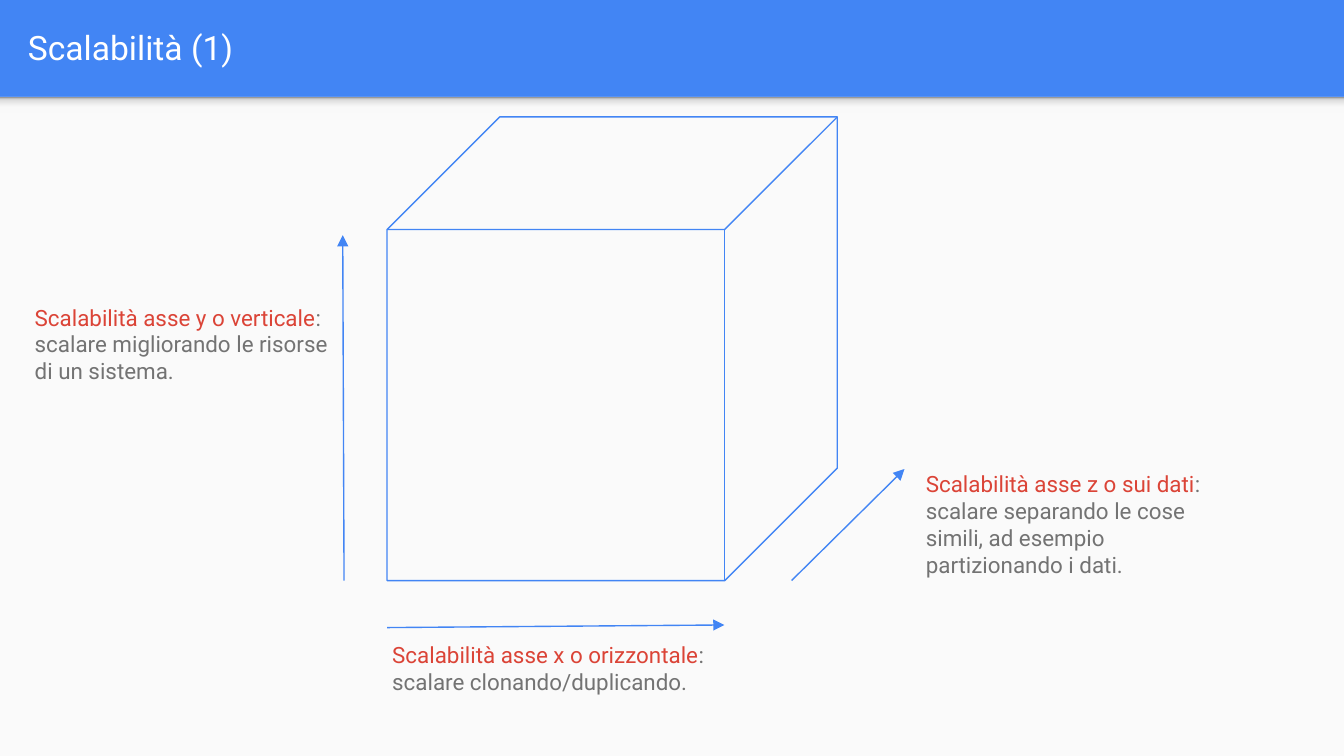
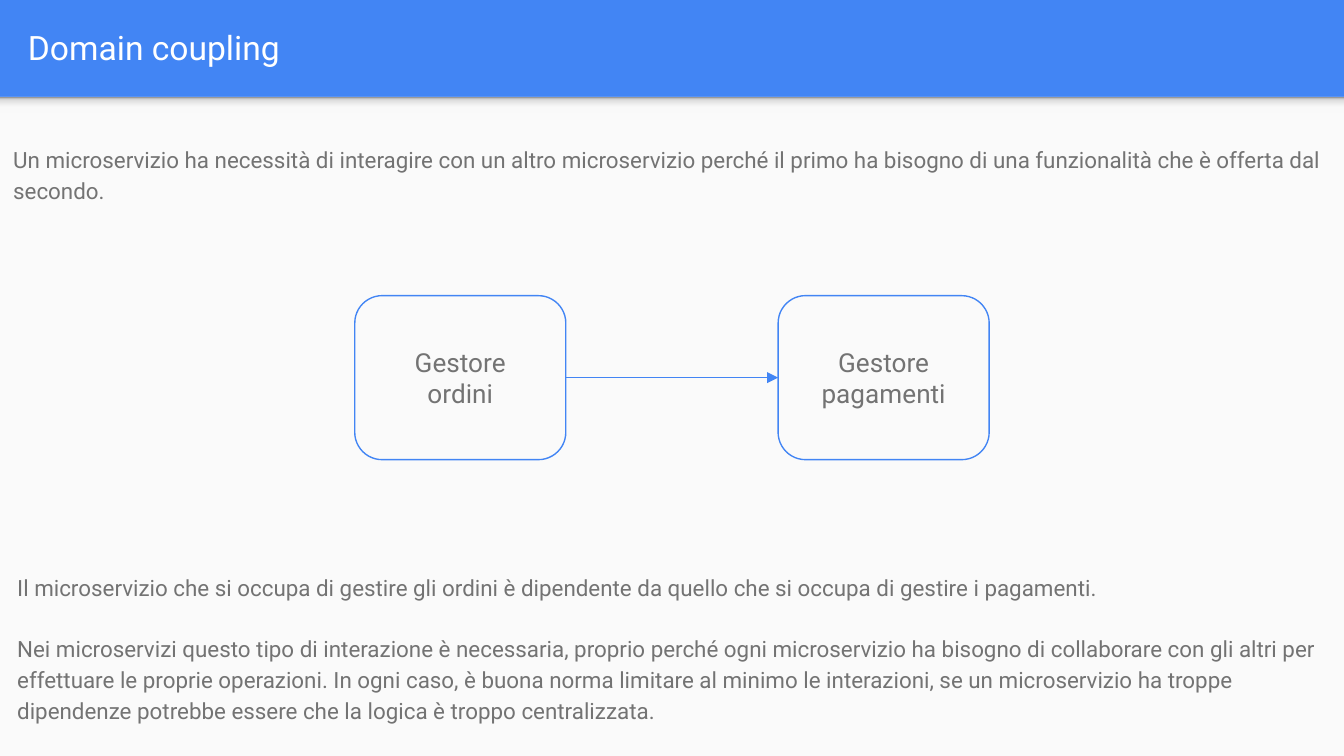
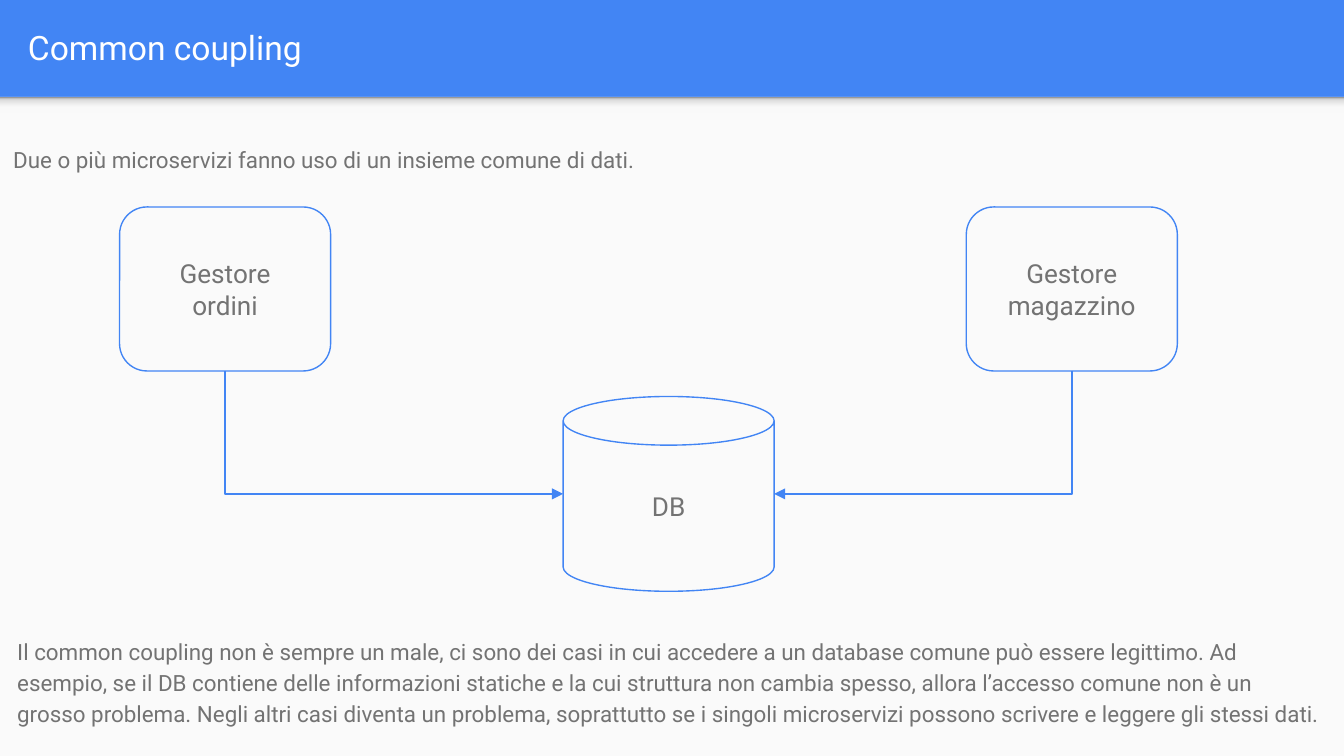
from dataclasses import dataclass
from typing import Any, NamedTuple

from lxml import etree
from pptx import Presentation
from pptx.dml.color import RGBColor
from pptx.enum.shapes import MSO_CONNECTOR as Conn, MSO_SHAPE as Shp
from pptx.enum.text import MSO_ANCHOR as Anchor, MSO_AUTO_SIZE as Fit, PP_ALIGN as Align
from pptx.oxml import parse_xml
from pptx.oxml.ns import nsdecls, qn
from pptx.util import Inches, Pt


@dataclass(frozen=True)
class Theme:
    font: str = "Roboto"
    blue: str = "4285F4"
    paper: str = "FAFAFA"
    red: str = "DB4437"
    gray: str = "737373"
    white: str = "FFFFFF"
    shade: tuple = ((0, "F9F9F9"), (36, "F9F9F9"), (80, "DEDEDE"), (100, "999999"))
    title_pt: float = 18
    node_pt: float = 14
    body_pt: float = 12
    line_pt: float = 0.75
    leading: float = 1.15
    paragraph_gap: float = 16.5


class Box(NamedTuple):
    left: float
    top: float
    width: float
    height: float

    def emu(self) -> list:
        return [Inches(v) for v in self]


class Point(NamedTuple):
    x: float
    y: float


class Run(NamedTuple):
    text: str
    color: str


class Axis(NamedTuple):
    label: str
    effect: str
    box: Box
    start: Point
    end: Point


class Node(NamedTuple):
    lines: list[str]
    box: Box
    kind: Any = Shp.ROUNDED_RECTANGLE


T = Theme()
SLIDE_W = Inches(10)
SLIDE_H = SLIDE_W * 9 // 16
BAND_H = 0.72
TITLE = Box(0.11, 0.02, 9.65, 0.66)
SHADOW = Box(0, BAND_H, 10, 0.12)
CUBE = Box(2.88, 0.87, 3.35, 3.45)
NODE_W, NODE_H = 1.57, 1.22
INTRO_TOP = 0.96
TEXT_W = 9.94

AXES = [
    Axis("Scalabilità asse x o orizzontale", "scalare clonando/duplicando.",
         Box(2.82, 4.67, 2.84, 0.61), Point(2.88, 4.67), Point(5.39, 4.65)),
    Axis("Scalabilità asse y o verticale", "scalare migliorando le risorse di un sistema.",
         Box(0.16, 2.16, 2.39, 0.81), Point(2.56, 4.32), Point(2.55, 1.75)),
    Axis("Scalabilità asse z o sui dati",
         "scalare separando le cose simili, ad esempio partizionando i dati.",
         Box(6.79, 3.4, 2.29, 1.01), Point(5.89, 4.32), Point(6.73, 3.49)),
]


def apply(target: Any, values: dict) -> None:
    for name, value in values.items():
        setattr(target, name, value)


def rgb(color: str) -> RGBColor:
    return RGBColor.from_string(color)


def write(sp: Any, paragraphs: list[list[Run]], size: float, frame: dict, para: dict,
          gap: float = 0) -> None:
    tf = sp.text_frame
    margins = {f"margin_{side}": Inches(0.1) for side in ("left", "top", "right", "bottom")}
    apply(tf, {"word_wrap": True, **margins, **frame})
    for i, runs in enumerate(paragraphs):
        p = tf.paragraphs[0] if i == 0 else tf.add_paragraph()
        apply(p, para)
        if i and gap:
            p.space_before = Pt(gap)
        for run in runs:
            r = p.add_run()
            r.text = run.text
            apply(r.font, {"name": T.font, "size": Pt(size)})
            r.font.color.rgb = rgb(run.color)


def add_text(slide: Any, box: Box, paragraphs: list[list[Run]]) -> None:
    write(slide.shapes.add_textbox(*box.emu()), paragraphs, T.body_pt,
          {"auto_size": Fit.SHAPE_TO_FIT_TEXT}, {})


def add_prose(slide: Any, box: Box, texts: list[str]) -> None:
    write(slide.shapes.add_textbox(*box.emu()), [[Run(t, T.gray)] for t in texts], T.body_pt,
          {"auto_size": Fit.SHAPE_TO_FIT_TEXT}, {"line_spacing": T.leading}, T.paragraph_gap)


def add_outline(slide: Any, kind: Any, box: Box) -> Any:
    sp = slide.shapes.add_shape(kind, *box.emu())
    sp.shadow.inherit = False
    sp.fill.background()
    sp.line.color.rgb = rgb(T.blue)
    sp.line.width = Pt(T.line_pt)
    return sp


def add_node(slide: Any, node: Node) -> Any:
    sp = add_outline(slide, node.kind, node.box)
    write(sp, [[Run(line, T.gray)] for line in node.lines], T.node_pt,
          {"vertical_anchor": Anchor.MIDDLE}, {"alignment": Align.CENTER})
    return sp


def add_arrow(slide: Any, start: Point, end: Point, kind: Any = Conn.STRAIGHT) -> Any:
    cx = slide.shapes.add_connector(kind, *[Inches(v) for v in (*start, *end)])
    cx.line.color.rgb = rgb(T.blue)
    cx.line.width = Pt(T.line_pt)
    etree.SubElement(cx.line._get_or_add_ln(), qn("a:tailEnd"), type="triangle")
    etree.SubElement(cx._element.spPr, qn("a:effectLst"))
    return cx


def add_down_then_across(slide: Any, start: Point, end: Point) -> None:
    cx = add_arrow(slide, start, end, Conn.ELBOW)
    across, down = abs(end.x - start.x), abs(end.y - start.y)
    middle = Point((start.x + end.x) / 2, (start.y + end.y) / 2)
    turned = Box(middle.x - down / 2, middle.y - across / 2, down, across)
    apply(cx, dict(zip(turned._fields, turned.emu())))
    spPr = cx._element.spPr
    spPr.find(qn("a:prstGeom")).set("prst", "bentConnector2")
    xfrm = spPr.find(qn("a:xfrm"))
    rightward = end.x > start.x
    xfrm.set("rot", str((270 if rightward else 90) * 60000))
    xfrm.set("flipH", "1" if rightward else "0")


def add_shadow(slide: Any) -> None:
    sp = slide.shapes.add_shape(Shp.RECTANGLE, *SHADOW.emu())
    sp.shadow.inherit = False
    sp.line.fill.background()
    stops = "".join(f'<a:gs pos="{pos * 1000}"><a:srgbClr val="{color}"/></a:gs>'
                    for pos, color in T.shade)
    sp._element.spPr.find(qn("a:prstGeom")).addnext(parse_xml(
        f'<a:gradFill {nsdecls("a")} rotWithShape="1"><a:gsLst>{stops}</a:gsLst>'
        f'<a:lin ang="{270 * 60000}" scaled="0"/></a:gradFill>'))


def add_slide(prs: Any, title: str) -> Any:
    slide = prs.slides.add_slide(prs.slide_layouts[6])
    slide.background.fill.solid()
    slide.background.fill.fore_color.rgb = rgb(T.blue)
    top = Inches(BAND_H)
    sp = slide.shapes.add_shape(Shp.RECTANGLE, 0, top, SLIDE_W, SLIDE_H - top)
    sp.shadow.inherit = False
    sp.fill.solid()
    sp.fill.fore_color.rgb = rgb(T.paper)
    sp.line.fill.background()
    add_shadow(slide)
    write(slide.shapes.add_textbox(*TITLE.emu()), [[Run(title, T.white)]], T.title_pt,
          {"vertical_anchor": Anchor.MIDDLE}, {})
    return slide


def build_scalability(prs: Any) -> None:
    slide = add_slide(prs, "Scalabilità (1)")
    add_outline(slide, Shp.CUBE, CUBE)
    for axis in AXES:
        add_arrow(slide, axis.start, axis.end)
        add_text(slide, axis.box, [[Run(axis.label, T.red), Run(":", T.gray)],
                                   [Run(axis.effect, T.gray)]])


def build_domain_coupling(prs: Any) -> None:
    slide = add_slide(prs, "Domain coupling")
    top = 2.2
    orders_box = Box(2.64, top, NODE_W, NODE_H)
    payments_box = Box(5.79, top, NODE_W, NODE_H)
    orders = add_node(slide, Node(["Gestore", "ordini"], orders_box))
    payments = add_node(slide, Node(["Gestore pagamenti"], payments_box))
    middle = top + NODE_H / 2
    call = add_arrow(slide, Point(orders_box.left + NODE_W, middle),
                     Point(payments_box.left, middle))
    call.begin_connect(orders, 3)
    call.end_connect(payments, 1)
    add_prose(slide, Box(0, INTRO_TOP, TEXT_W, 0.64), [
        "Un microservizio ha necessità di interagire con un altro microservizio perché il primo "
        "ha bisogno di una funzionalità che è offerta dal secondo."])
    add_prose(slide, Box(0.03, 4.14, TEXT_W, 1.33), [
        "Il microservizio che si occupa di gestire gli ordini è dipendente da quello che si "
        "occupa di gestire i pagamenti.",
        "Nei microservizi questo tipo di interazione è necessaria, proprio perché ogni "
        "microservizio ha bisogno di collaborare con gli altri per effettuare le proprie "
        "operazioni. In ogni caso, è buona norma limitare al minimo le interazioni, se un "
        "microservizio ha troppe dipendenze potrebbe essere che la logica è troppo "
        "centralizzata."])


def build_common_coupling(prs: Any) -> None:
    slide = add_slide(prs, "Common coupling")
    top = 1.54
    orders = Node(["Gestore", "ordini"], Box(0.89, top, NODE_W, NODE_H))
    stock = Node(["Gestore magazzino"], Box(7.19, top, NODE_W, NODE_H))
    db = Node(["DB"], Box(4.19, 2.95, NODE_W, 1.45), Shp.CAN)
    for node in (orders, stock, db):
        add_node(slide, node)
    db_middle = db.box.top + db.box.height / 2
    for node, side in ((orders, db.box.left), (stock, db.box.left + NODE_W)):
        start = Point(node.box.left + NODE_W / 2, top + NODE_H)
        add_down_then_across(slide, start, Point(side, db_middle))
    add_prose(slide, Box(0, INTRO_TOP, TEXT_W, 0.4), [
        "Due o più microservizi fanno uso di un insieme comune di dati."])
    add_prose(slide, Box(0.03, 4.62, TEXT_W, 0.87), [
        "Il common coupling non è sempre un male, ci sono dei casi in cui accedere a un database "
        "comune può essere legittimo. Ad esempio, se il DB contiene delle informazioni statiche "
        "e la cui struttura non cambia spesso, allora l’accesso comune non è un grosso problema. "
        "Negli altri casi diventa un problema, soprattutto se i singoli microservizi possono "
        "scrivere e leggere gli stessi dati."])


def main() -> None:
    prs = Presentation()
    apply(prs, {"slide_width": SLIDE_W, "slide_height": SLIDE_H})
    for build in (build_scalability, build_domain_coupling, build_common_coupling):
        build(prs)
    prs.save("out.pptx")


if __name__ == "__main__":
    main()
